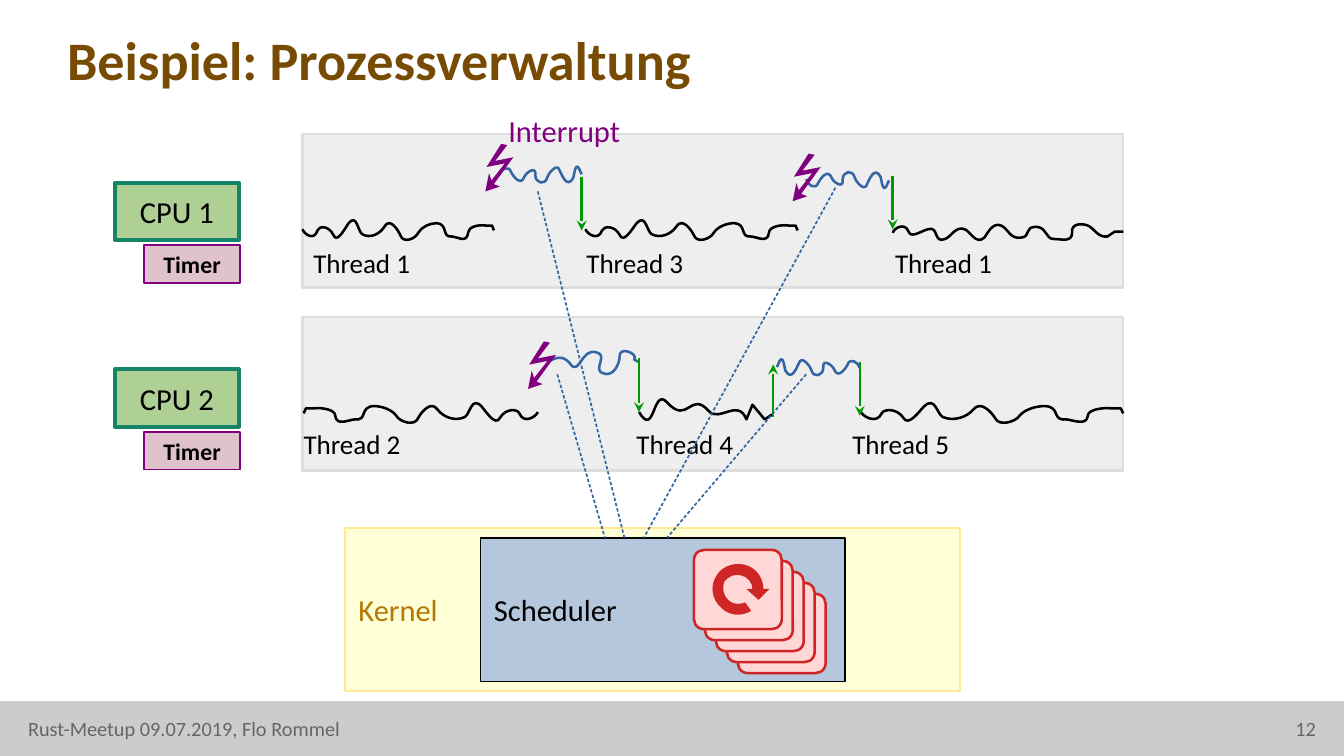
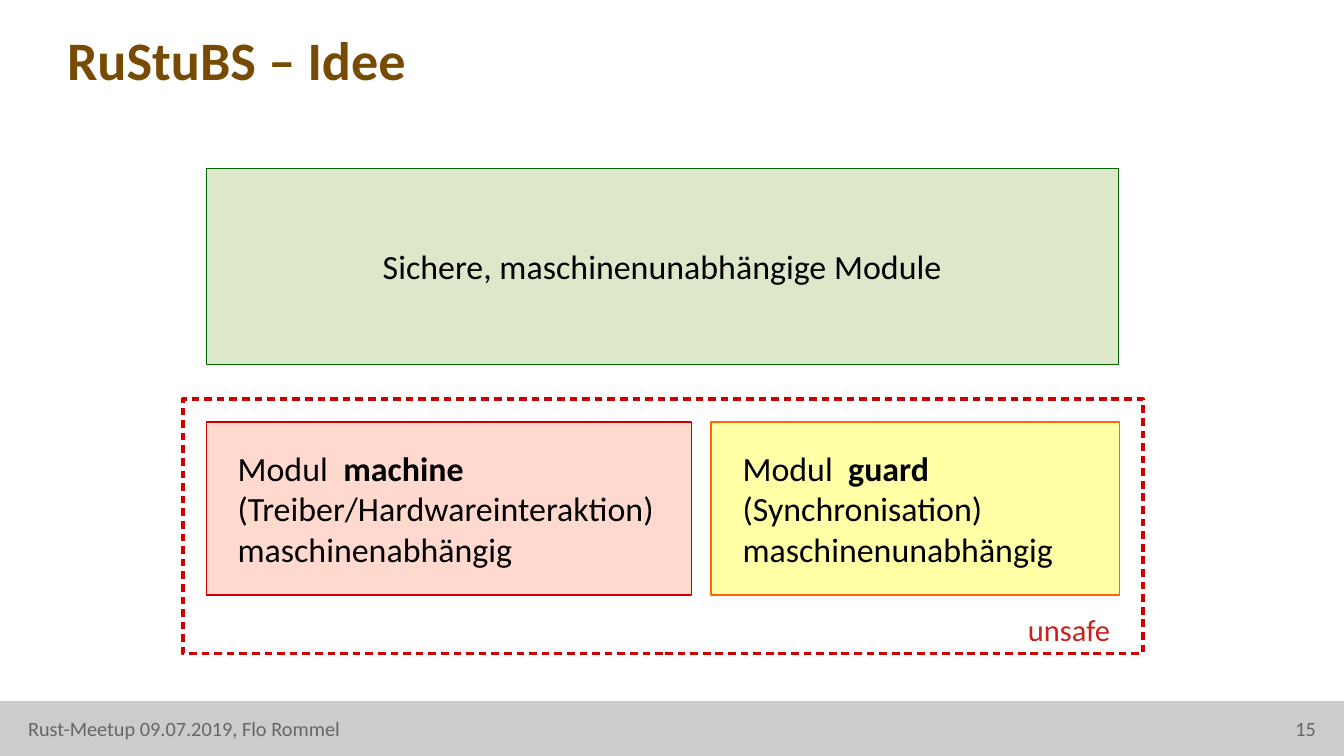
"""Build two slides on process scheduling and the RuStuBS module idea."""
from lxml.etree import SubElement
from pptx import Presentation
from pptx.dml.color import RGBColor
from pptx.enum.shapes import MSO_CONNECTOR, MSO_SHAPE
from pptx.enum.text import MSO_ANCHOR, PP_ALIGN
from pptx.oxml.ns import qn
from pptx.util import Inches, Pt

WIDTH, HEIGHT = 11.02, 6.2
FONT = "Calibri"
BLACK = RGBColor(0x00, 0x00, 0x00)
BROWN = RGBColor(0x78, 0x4B, 0x04)
BAND = RGBColor(0xCC, 0xCC, 0xCC)
FOOTER = RGBColor(0x66, 0x66, 0x66)
LANE = RGBColor(0xEE, 0xEE, 0xEE)
LANE_EDGE = RGBColor(0xDD, 0xDD, 0xDD)
CPU = RGBColor(0xAF, 0xD0, 0x95)
CPU_EDGE = RGBColor(0x15, 0x84, 0x66)
TIMER = RGBColor(0xE0, 0xC2, 0xCD)
PURPLE = RGBColor(0x80, 0x00, 0x80)
BLUE = RGBColor(0x34, 0x65, 0xA4)
GREEN = RGBColor(0x00, 0x99, 0x00)
KERNEL = RGBColor(0xFF, 0xFF, 0xD7)
KERNEL_EDGE = RGBColor(0xFF, 0xE9, 0x94)
KERNEL_TEXT = RGBColor(0xB4, 0x78, 0x04)
SCHEDULER = RGBColor(0xB4, 0xC7, 0xDC)
CARD = RGBColor(0xFF, 0xD7, 0xD7)
CARD_EDGE = RGBColor(0xCF, 0x25, 0x25)
SAFE = RGBColor(0xDD, 0xE8, 0xCB)
SAFE_EDGE = RGBColor(0x00, 0x66, 0x00)
MACHINE = RGBColor(0xFF, 0xD8, 0xCE)
RED = RGBColor(0xCC, 0x00, 0x00)
GUARD = RGBColor(0xFF, 0xFF, 0xA6)
GUARD_EDGE = RGBColor(0xFF, 0x66, 0x00)
UNSAFE_TEXT = RGBColor(0xC9, 0x21, 0x1E)

THREAD_WAVE = [
    (0, 0), (.02, .04, .13, .10, .17, .01), (.19, -.03, .30, -.03, .35, .05),
    (.39, .12, .48, -.01, .52, -.05), (.61, -.13, .62, .01, .67, .04),
    (.76, .08, .87, .04, .92, -.02), (.98, -.10, 1.07, 0, 1.10, .05),
    (1.13, .12, 1.27, .08, 1.30, .03), (1.34, -.02, 1.43, -.05, 1.51, -.05),
    (1.64, -.04, 1.56, .07, 1.68, .06), (1.73, .06, 1.85, .12, 1.86, .03),
    (1.86, -.02, 1.98, -.04, 2.06, -.03), (2.13, -.03), (2.15, .01)]
RESUMED_WAVE = [
    (0, 0), (.01, -.04, .10, -.09, .13, -.01), (.15, .05, .24, -.02, .29, -.03),
    (.38, -.06, .33, .09, .43, .05), (.48, .03, .52, -.06, .59, -.03),
    (.64, -.01, .68, .10, .75, .04), (.78, 0, .82, -.09, .89, -.06),
    (.95, -.03, .96, .05, 1.05, .04), (1.14, .03, 1.07, -.05, 1.18, -.05),
    (1.27, -.04, 1.25, .05, 1.32, .05), (1.38, .05, 1.47, .08, 1.47, 0),
    (1.46, -.08, 1.55, -.08, 1.60, -.06), (1.65, -.04, 1.68, .04, 1.76, .03),
    (1.82, -.01), (1.88, -.01), (1.89, -.01)]
YIELD_WAVE = [
    (0, 0), (.13, .22, .11, -.21, .23, -.08), (.40, .11, .42, -.18, .57, -.01),
    (.66, .09, .81, -.12, .88, .06), (.93, -.06), (1.03, .06), (1.09, .02)]
KERNEL_WAVE = [
    (0, 0), (.01, -.05, .08, -.09, .10, -.03), (.12, .01, .18, .09, .21, .01),
    (.22, -.02, .31, -.09, .30, 0), (.30, .06, .38, .09, .40, .01),
    (.41, -.02, .48, -.11, .50, -.04), (.52, 0, .56, .11, .61, .02),
    (.62, -.01, .63, -.14, .67, -.03), (.68, -.01)]
KERNEL_LOOP = [
    (0, 0), (.04, -.02, .12, -.08, .19, .02), (.26, .11, .28, -.12, .40, -.08),
    (.50, -.06, .37, .06, .45, .09), (.54, .13, .59, .01, .59, -.04),
    (.58, -.14, .75, -.07, .71, -.02), (.75, 0)]
BOLT = [(.23, .11), (.08, .14), (.18, .01), (.13, 0), (.01, .19), (.16, .16),
        (.05, .30), (.03, .24), (0, .39), (.12, .35), (.07, .33)]
CYCLE = [
    (.33, .20), (.33, .15, .29, .10, .24, .09), (.19, .07, .13, .10, .10, .14),
    (.08, .19, .09, .25, .13, .29), (.17, .33, .23, .33, .27, .31), (.32, .38),
    (.24, .43, .13, .42, .07, .35), (0, .29, -.02, .18, .03, .10),
    (.07, .02, .17, -.02, .26, 0), (.35, .02, .42, .10, .42, .20),
    (.47, .20), (.38, .29), (.28, .20)]


def write(tf, text, size=18, color=BLACK, bold=False, align=PP_ALIGN.LEFT,
          anchor=MSO_ANCHOR.TOP, inset=(.1, .05)):
    """Fill a text frame; asterisks enclose bold words, set off by a wide space."""
    tf.word_wrap = True
    tf.vertical_anchor = anchor
    tf.margin_left = tf.margin_right = Inches(inset[0])
    tf.margin_top = tf.margin_bottom = Inches(inset[1])
    for i, line in enumerate(text.split("\n")):
        p = tf.add_paragraph() if i else tf.paragraphs[0]
        p.alignment = align
        for j, part in enumerate(line.split("*")):
            word = part.rstrip()
            for piece in filter(None, (word, part[len(word):])):
                r = p.add_run()
                r.text = piece
                r.font.name, r.font.size = FONT, Pt(size)
                r.font.bold = bold or j % 2 == 1
                r.font.color.rgb = color
                if piece == " ":
                    r.font._element.set("spc", "450")


def add_dash(line):
    """Give a line a fine dash."""
    dash = SubElement(line._get_or_add_ln(), qn("a:custDash"))
    SubElement(dash, qn("a:ds"), d="197000", sp="127000")


class Deck:
    """Hold the presentation, its style and the current slide."""

    def __init__(self):
        """Start an empty presentation."""
        self.prs = Presentation()
        self.prs.slide_width, self.prs.slide_height = Inches(WIDTH), Inches(HEIGHT)

    def slide(self, title, number):
        """Add a slide with title, footer band and number."""
        self.s = self.prs.slides.add_slide(self.prs.slide_layouts[6])
        self.box(0, 5.75, WIDTH, .45, BAND)
        self.text(.55, .17, 9.53, .62, title, size=32, color=BROWN, bold=True,
                  anchor=MSO_ANCHOR.MIDDLE, inset=(0, 0))
        footer = dict(size=12, color=FOOTER, inset=(0, 0))
        self.text(.23, 5.87, 7.88, .25, "Rust-Meetup 09.07.2019, Flo Rommel", **footer)
        self.text(8.22, 5.87, 2.57, .25, number, align=PP_ALIGN.RIGHT, **footer)

    def paint(self, sp, fill, edge, weight):
        """Set fill and outline, None meaning empty."""
        sp.shadow.inherit = False
        if fill is None:
            sp.fill.background()
        else:
            sp.fill.solid()
            sp.fill.fore_color.rgb = fill
        if edge is None:
            sp.line.fill.background()
        else:
            sp.line.color.rgb = edge
            sp.line.width = Pt(weight)

    def box(self, x, y, w, h, fill=None, edge=None, weight=.99, text="",
            kind=MSO_SHAPE.RECTANGLE, **fmt):
        """Add a preset shape with optional text."""
        sp = self.s.shapes.add_shape(kind, Inches(x), Inches(y), Inches(w), Inches(h))
        self.paint(sp, fill, edge, weight)
        if text:
            write(sp.text_frame, text, anchor=MSO_ANCHOR.MIDDLE, inset=(.11, .06), **fmt)
        return sp

    def text(self, x, y, w, h, text, **fmt):
        """Add a text box."""
        sp = self.s.shapes.add_textbox(Inches(x), Inches(y), Inches(w), Inches(h))
        write(sp.text_frame, text, **fmt)

    def line(self, x1, y1, x2, y2, color, weight=1.5, dashed=False, arrow=False):
        """Add a straight connector."""
        sp = self.s.shapes.add_connector(MSO_CONNECTOR.STRAIGHT, Inches(x1), Inches(y1),
                                         Inches(x2), Inches(y2))
        sp.line.color.rgb = color
        sp.line.width = Pt(weight)
        if dashed:
            add_dash(sp.line)
        if arrow:
            SubElement(sp.line._get_or_add_ln(), qn("a:tailEnd"), type="stealth")
        SubElement(sp._element.spPr, qn("a:effectLst"))

    def outline(self, segments, x, y, fill=None, edge=None, sx=1, sy=1):
        """Add a freeform of lines and cubic curves, closed when filled."""
        placed = [[(Inches(x + sx * px), Inches(y + sy * py))
                   for px, py in zip(seg[::2], seg[1::2])] for seg in segments]
        ends = [seg[-1] for seg in placed]
        builder = self.s.shapes.build_freeform(*ends[0])
        builder.add_line_segments(ends[1:], close=fill is not None)
        sp = builder.convert_to_shape()
        self.paint(sp, fill, edge, 1.5)
        for step, seg in zip(list(sp._element.iter(qn("a:lnTo"))), placed[1:]):
            if len(seg) == 3:
                curve = step.makeelement(qn("a:cubicBezTo"))
                for px, py in seg:
                    SubElement(curve, qn("a:pt"), x=str(px - sp.left), y=str(py - sp.top))
                step.getparent().replace(step, curve)

    def save(self):
        """Write the file."""
        self.prs.save("out.pptx")


def scheduling(deck):
    """Draw two processor timelines above the kernel."""
    deck.slide("Beispiel: Prozessverwaltung", "12")
    centre = PP_ALIGN.CENTER
    deck.box(2.83, 4.33, 5.04, 1.34, KERNEL, KERNEL_EDGE, text="Kernel", color=KERNEL_TEXT)
    deck.box(3.94, 4.41, 2.99, 1.18, SCHEDULER, BLACK, text="Scheduler")
    for i, lane_y in enumerate((1.1, 2.6)):
        cpu_y = 1.5 + 1.53 * i
        deck.box(2.48, lane_y, 6.73, 1.26, LANE, LANE_EDGE, 1.5)
        deck.box(.94, cpu_y, 1.02, .47, CPU, CPU_EDGE, 2.3, f"CPU {i + 1}", align=centre)
        deck.box(1.18, cpu_y + .51, .79, .31, TIMER, PURPLE, text="Timer",
                 size=14, bold=True, align=centre)

    for i in range(4, -1, -1):
        card = deck.box(5.69 + .09 * i, 4.51 + .09 * i, .72, .65, CARD, CARD_EDGE, 1.5,
                        kind=MSO_SHAPE.ROUNDED_RECTANGLE)
        card.adjustments[0] = .125
    deck.outline(CYCLE, 5.84, 4.63, fill=CARD_EDGE)

    for x, y, width in ((2.48, 1.88, 1.57), (4.8, 1.88, 1.74),
                        (4.41, 3.38, -1.92), (7.06, 3.38, 2.15)):
        deck.outline(THREAD_WAVE, x, y, edge=BLACK, sx=width / 2.15)
    deck.outline(RESUMED_WAVE, 7.32, 1.91, edge=BLACK)
    deck.outline(YIELD_WAVE, 5.24, 3.38, edge=BLACK)
    for x, y, sx, sy in ((4.09, 1.44, 1, 1), (6.61, 1.47, 1, -1), (7.05, 3.02, -1, 1)):
        deck.outline(KERNEL_WAVE, x, y, edge=BLUE, sx=sx, sy=sy)
    deck.outline(KERNEL_LOOP, 4.49, 2.97, edge=BLUE)

    for x, y1, y2 in ((4.77, 1.45, 1.89), (7.32, 1.44, 1.88), (5.24, 2.94, 3.38),
                      (7.05, 2.97, 3.41), (6.34, 3.42, 2.99)):
        deck.line(x, y1, x, y2, GREEN, arrow=True)
    for x, y in ((3.98, 1.18), (6.5, 1.26), (4.33, 2.8)):
        deck.outline(BOLT, x, y, fill=PURPLE)
    for x, y, number in ((2.47, 1.97, 1), (4.71, 1.97, 3), (7.24, 1.97, 1),
                         (2.39, 3.46, 2), (5.12, 3.46, 4), (6.89, 3.46, 5)):
        deck.text(x, y, 1.11, .4, f"Thread {number}", size=16)
    for x1, y1, x2 in ((4.57, 3.07, 4.96), (4.41, 1.57, 5.12),
                       (6.85, 1.54, 5.28), (6.61, 3.07, 5.47)):
        deck.line(x1, y1, x2, 4.41, BLUE, .99, dashed=True)
    deck.text(4.07, .87, 1.6, .7, "Interrupt", color=PURPLE)


def idea(deck):
    """Draw the safe modules above the unsafe ones."""
    deck.slide("RuStuBS – Idee", "15")
    deck.box(1.69, 1.38, 7.48, 1.61, SAFE, SAFE_EDGE, 0,
             "Sichere, maschinenunabhängige Module", size=20, align=PP_ALIGN.CENTER)
    modules = (
        (1.69, 3.98, 4.1, MACHINE, RED,
         "Modul *machine*\n(Treiber/Hardwareinteraktion)\nmaschinenabhängig"),
        (5.83, 3.35, 3.21, GUARD, GUARD_EDGE,
         "Modul *guard*\n(Synchronisation)\nmaschinenunabhängig"))
    for x, w, text_w, fill, edge, label in modules:
        deck.box(x, 3.46, w, 1.42, fill, edge, 0)
        deck.text(x + .16, 3.62, text_w, 1.24, label, size=20)
    frame = deck.box(1.5, 3.27, 7.87, 2.09, edge=RED, weight=2.3)
    add_dash(frame.line)
    deck.text(8.33, 4.96, .99, .44, "unsafe", color=UNSAFE_TEXT)


deck = Deck()
scheduling(deck)
idea(deck)
deck.save()
